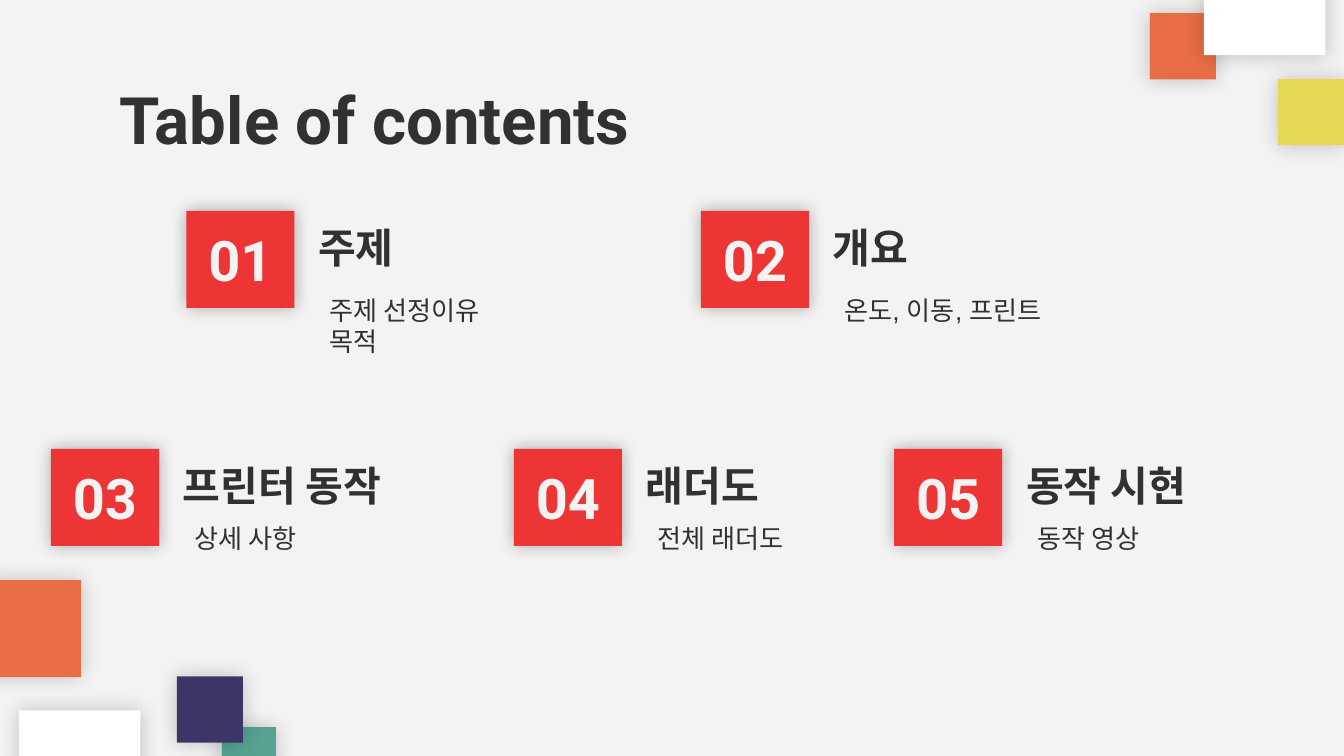
from lxml import etree
from pptx import Presentation
from pptx.dml.color import RGBColor
from pptx.enum import shapes, text
from pptx.oxml import ns
from pptx.util import Pt

PAPER = RGBColor(0xF3, 0xF3, 0xF3)
INK = RGBColor(0x31, 0x31, 0x31)
RED = RGBColor(0xEE, 0x35, 0x35)
ORANGE = RGBColor(0xE9, 0x6D, 0x44)
YELLOW = RGBColor(0xE6, 0xD7, 0x56)
GREEN = RGBColor(0x57, 0xA2, 0x91)
NAVY = RGBColor(0x3C, 0x36, 0x68)
WHITE = RGBColor(0xFF, 0xFF, 0xFF)

prs = Presentation()
prs.slide_width, prs.slide_height = Pt(720), Pt(405)
s = prs.slides.add_slide(prs.slide_layouts[5])
s.background.fill.solid()
s.background.fill.fore_color.rgb = PAPER


def add_square(x, y, w, h, color, blur, opacity):
    sp = s.shapes.add_shape(shapes.MSO_SHAPE.RECTANGLE, Pt(x), Pt(y), Pt(w), Pt(h))
    sp.fill.solid()
    sp.fill.fore_color.rgb = color
    sp.line.fill.background()
    sp.shadow.inherit = False
    effects = sp._element.spPr.find(ns.qn("a:effectLst"))
    shadow = etree.SubElement(effects, ns.qn("a:outerShdw"), blurRad=str(Pt(blur)),
                              dist="0", dir="0", algn="ctr", rotWithShape="0")
    clr = etree.SubElement(shadow, ns.qn("a:srgbClr"), val="000000")
    etree.SubElement(clr, ns.qn("a:alpha"), val=str(opacity * 1000))
    return sp


def write(sp, lines, size, font, color, bold, anchor, align=text.PP_ALIGN.LEFT):
    tf = sp.text_frame
    tf.word_wrap = True
    tf.auto_size = text.MSO_AUTO_SIZE.NONE
    tf.vertical_anchor = anchor
    tf.margin_left = tf.margin_right = tf.margin_top = tf.margin_bottom = Pt(7.2)
    for i, line in enumerate(lines):
        p = tf.add_paragraph() if i else tf.paragraphs[0]
        p.alignment = align
        r = p.add_run()
        r.text = line
        r.font.size, r.font.name, r.font.bold = Pt(size), font, bold
        r.font.color.rgb = color


for x, y, side, color in [
    (118.8, 389.5, 29, GREEN),
    (-8.6, 310.8, 52, ORANGE),
    (94.8, 362.4, 35.4, NAVY),
    (10.3, 380.6, 65, WHITE),
    (616, 7.1, 35.4, ORANGE),
    (645, -35.4, 65, WHITE),
    (684.6, 42.4, 35.4, YELLOW),
]:
    add_square(x, y, side, side, color, 11.2, 22)

title = s.shapes.title
title.left, title.top, title.width, title.height = Pt(57), Pt(35.4), Pt(607), Pt(45)
write(title, ["Table of contents"], 35, "Roboto", INK, True, text.MSO_ANCHOR.TOP)

ROW1, ROW2 = (113, 37.4), (240.5, 32.4)
sections = [
    (99.8, ROW1, "주제", ["주제 선정이유", "목적"]),
    (375.5, ROW1, "개요", ["온도, 이동, 프린트"]),
    (27.3, ROW2, "프린터 동작", ["상세 사항"]),
    (275.3, ROW2, "래더도", ["전체 래더도"]),
    (479, ROW2, "동작 시현", ["동작 영상"]),
]
for n, (x, (y, drop), heading, details) in enumerate(sections, 1):
    sp = add_square(x, y, 57.9, 52, RED, 9, 31)
    write(sp, [f"{n:02}"], 30, "Roboto", PAPER, True,
          text.MSO_ANCHOR.MIDDLE, text.PP_ALIGN.CENTER)
    tb = s.shapes.add_textbox(Pt(x + 63.6), Pt(y), Pt(181), Pt(39.6))
    write(tb, [heading], 22, "Arial", INK, True, text.MSO_ANCHOR.BOTTOM)
    tb = s.shapes.add_textbox(Pt(x + 69.6), Pt(y + drop), Pt(181), Pt(52))
    write(tb, details, 14, "Arial", INK, False, text.MSO_ANCHOR.TOP)

prs.save("out.pptx")
